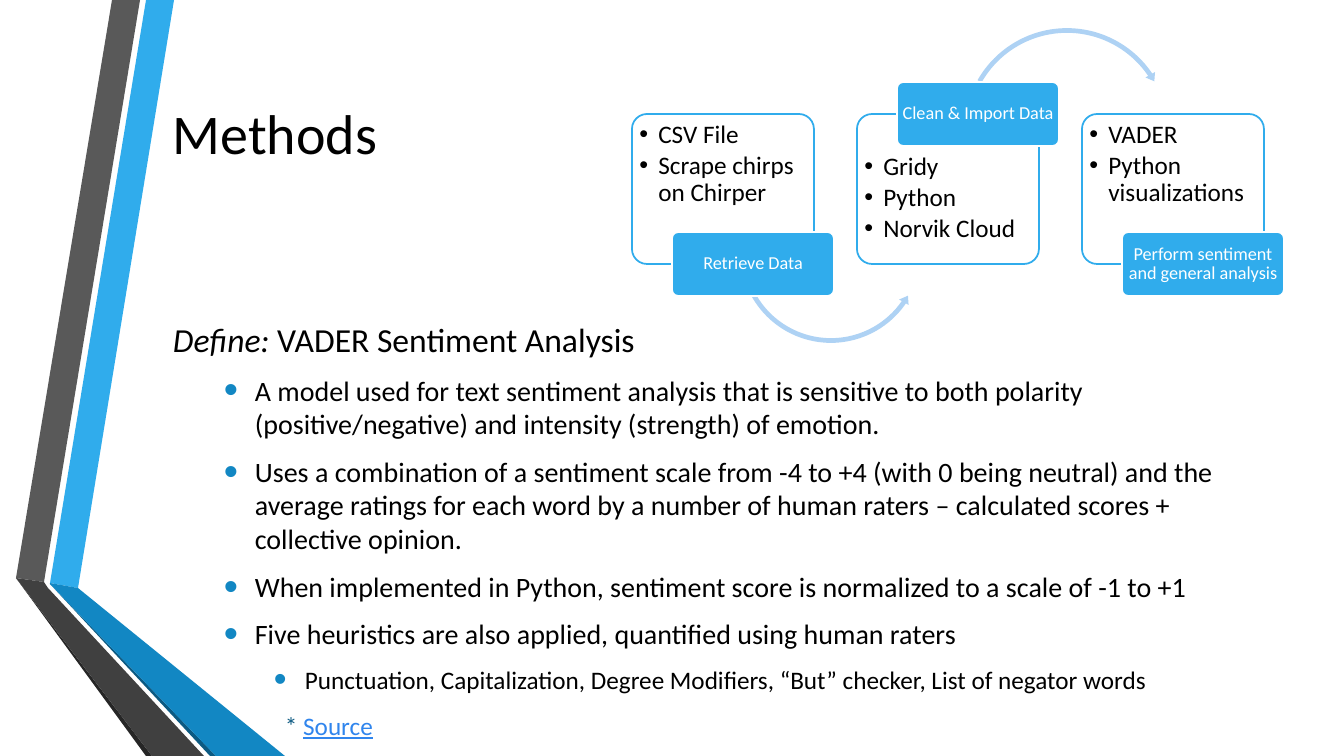
import dataclasses
import typing

import lxml.etree
import pptx
import pptx.dml.color
import pptx.enum.shapes
import pptx.enum.text
import pptx.oxml.ns
import pptx.util

SCALE = 914400 / 100.8
FONT = "Calibri"
COLORS = {
    "white": "FFFFFF", "black": "000000", "sky": "30ACEC", "blue": "1287C3",
    "navy": "0C5A82", "pale": "AED2F4", "link": "3085ED",
    "gray": "595959", "dark": "404040", "coal": "262626",
}
KINDS = pptx.enum.shapes.MSO_SHAPE
ANCHOR = pptx.enum.text.MSO_ANCHOR
ALIGN = pptx.enum.text.PP_ALIGN


class Box(typing.NamedTuple):
    left: int
    top: int
    width: int
    height: int


@dataclasses.dataclass(frozen=True)
class Band:
    color: str
    points: tuple[tuple[int, int], ...]


@dataclasses.dataclass(frozen=True)
class Span:
    text: str
    color: str = "black"
    slant: bool = False
    under: bool = False


@dataclasses.dataclass(frozen=True)
class Style:
    size: float
    level: int = 0
    indent: int = 0
    hang: int = 0
    before: float = 0
    after: float = 0
    line: float = 1.0
    align: ALIGN = ALIGN.LEFT
    dot: str = ""
    dot_size: int = 100


@dataclasses.dataclass(frozen=True)
class Para:
    style: Style
    spans: tuple[Span, ...]


@dataclasses.dataclass(frozen=True)
class Arrow:
    kind: KINDS
    box: Box
    turns: tuple[float, ...]


@dataclasses.dataclass(frozen=True)
class Step:
    label: str
    items: tuple[str, ...]
    on_top: bool = False
    arrow: Arrow | None = None


TITLE = Style(40)
HEAD = Style(24, before=4.8, after=6)
POINT = Style(20, 1, 82, 31, 4, 6, dot="blue", dot_size=145)
DETAIL = Style(18, 2, 132, 31, 3.6, 6, dot="blue", dot_size=145)
ITEM = Style(18, 1, 19, 19, after=2.7, line=0.9, dot="black")
LABEL = Style(13, line=0.9, align=ALIGN.CENTER)
NOTE = Style(18)

BANDS = (
    Band("sky", ((50, 583), (78, 588), (174, 0), (146, 0))),
    Band("gray", ((140, 0), (112, 0), (16, 578), (44, 582))),
    Band("coal", ((16, 578), (146, 756), (152, 756))),
    Band("navy", ((50, 584), (210, 756), (216, 756))),
    Band("blue", ((50, 584), (216, 756), (285, 756), (78, 588), (50, 583))),
    Band("dark", ((204, 756), (48, 588), (44, 582), (16, 578), (152, 756))),
)
STEPS = (
    Step("Retrieve Data", ("CSV File", "Scrape chirps on Chirper"),
         arrow=Arrow(KINDS.LEFT_CIRCULAR_ARROW, Box(737, 158, 188, 188),
                     (0.025, 2.993, 20.748, 90.245, 0.029))),
    Step("Clean & Import Data", ("Gridy", "Python", "Norvik Cloud"), True,
         Arrow(KINDS.CIRCULAR_ARROW, Box(961, 25, 212, 212),
               (0.022, 2.647, 195.598, 125.755, 0.026))),
    Step("Perform sentiment and general analysis",
         ("VADER", "Python visualizations")),
)
POINTS = (
    "A model used for text sentiment analysis that is\u00a0sensitive to both "
    "polarity (positive/negative) and intensity (strength) of emotion.",
    "Uses a combination of a sentiment scale from -4 to +4 (with 0 being "
    "neutral) and the average ratings for each word by a number of human "
    "raters – calculated scores + collective opinion.",
    "When implemented in Python, sentiment score is normalized to a scale "
    "of -1 to +1",
    "Five heuristics are also applied, quantified using human raters",
)
DETAILS = ("Punctuation, Capitalization, Degree Modifiers, “But” checker, "
           "List of negator words")


def emu(length: float) -> pptx.util.Emu:
    """Turn pixels into EMU."""
    return pptx.util.Emu(round(length * SCALE))


def rgb(name: str) -> pptx.dml.color.RGBColor:
    """Look up a colour."""
    return pptx.dml.color.RGBColor.from_string(COLORS[name])


def plain(text: str, style: Style, color: str = "black") -> Para:
    """Make a paragraph of one span."""
    return Para(style, (Span(text, color),))


def add_dot(para, style: Style) -> None:
    """Give a paragraph its hanging bullet."""
    props = para._p.get_or_add_pPr()
    props.set("marL", str(emu(style.indent)))
    props.set("indent", str(-emu(style.hang)))

    def add(parent, tag: str, **values: str):
        return lxml.etree.SubElement(parent, pptx.oxml.ns.qn(tag), values)

    add(add(props, "a:buClr"), "a:srgbClr", val=COLORS[style.dot])
    add(props, "a:buSzPct", val=str(style.dot_size * 1000))
    add(props, "a:buFont", typeface="Arial")
    add(props, "a:buChar", char="•")


def write(frame, paras: typing.Iterable[Para]) -> None:
    """Fill a text frame with styled paragraphs."""
    frame.word_wrap = True
    for index, item in enumerate(paras):
        para = frame.add_paragraph() if index else frame.paragraphs[0]
        style = item.style
        para.level, para.alignment = style.level, style.align
        para.line_spacing = style.line
        para.space_before = pptx.util.Pt(style.before)
        para.space_after = pptx.util.Pt(style.after)
        if style.dot:
            add_dot(para, style)
        for span in item.spans:
            run = para.add_run()
            run.text = span.text
            font = run.font
            font.name, font.size = FONT, pptx.util.Pt(style.size)
            font.italic, font.underline = span.slant, span.under
            font.color.rgb = rgb(span.color)


def add_text(slide, box: Box, paras: typing.Iterable[Para],
             anchor: ANCHOR = ANCHOR.MIDDLE) -> None:
    """Add a text box."""
    frame = slide.shapes.add_textbox(*map(emu, box)).text_frame
    frame.vertical_anchor = anchor
    write(frame, paras)


def paint(shape, fill: str, line: str = "") -> None:
    """Set fill and outline, without a shadow."""
    shape.shadow.inherit = False
    shape.fill.solid()
    shape.fill.fore_color.rgb = rgb(fill)
    if line:
        shape.line.color.rgb = rgb(line)
        shape.line.width = pptx.util.Pt(1.25)
    else:
        shape.line.fill.background()


def add_panel(slide, box: Box, fill: str, line: str, pads: Box,
              anchor: ANCHOR, paras: typing.Iterable[Para]) -> None:
    """Add a rounded panel with text; pads run left, top, right, bottom."""
    shape = slide.shapes.add_shape(KINDS.ROUNDED_RECTANGLE, *map(emu, box))
    shape.adjustments[0] = 0.1
    paint(shape, fill, line)
    frame = shape.text_frame
    frame.margin_left, frame.margin_top = emu(pads[0]), emu(pads[1])
    frame.margin_right, frame.margin_bottom = emu(pads[2]), emu(pads[3])
    frame.vertical_anchor = anchor
    write(frame, paras)


def add_band(slide, band: Band) -> None:
    """Draw one piece of the folded ribbon."""
    first, *rest = band.points
    builder = slide.shapes.build_freeform(*first, scale=SCALE)
    builder.add_line_segments(rest, close=True)
    paint(builder.convert_to_shape(), band.color)


def add_step(slide, index: int, step: Step) -> None:
    """Draw a card, its arrow and its label."""
    left = 632 + 225 * index
    pads = (3, 35, 3, 3) if step.on_top else (3, 3, 3, 35)
    add_panel(slide, Box(left, 114, 182, 150), "white", "sky", pads,
              ANCHOR.TOP, [plain(text, ITEM) for text in step.items])
    if step.arrow:
        shape = slide.shapes.add_shape(step.arrow.kind,
                                       *map(emu, step.arrow.box))
        for spot, turn in enumerate(step.arrow.turns):
            shape.adjustments[spot] = turn
        paint(shape, "pale")
    add_panel(slide, Box(left + 40, 82 if step.on_top else 232, 162, 64),
              "sky", "white", (3, 2, 3, 2), ANCHOR.MIDDLE,
              [plain(step.label, LABEL, "white")])


def main() -> None:
    """Build and save the slide."""
    deck = pptx.Presentation()
    deck.slide_width, deck.slide_height = emu(1344), emu(756)
    slide = deck.slides.add_slide(deck.slide_layouts[6])
    for band in BANDS:
        add_band(slide, band)
    add_text(slide, Box(163, 76, 1105, 113), [plain("Methods", TITLE)])
    for index, step in enumerate(STEPS):
        add_step(slide, index, step)
    head = Para(HEAD, (Span("Define: ", slant=True),
                       Span("VADER Sentiment Analysis")))
    add_text(slide, Box(163, 317, 1105, 379),
             [head, *(plain(text, POINT) for text in POINTS),
              plain(DETAILS, DETAIL)])
    note = Para(NOTE, (Span("* ", "navy"), Span("Source", "link", under=True)))
    add_text(slide, Box(275, 705, 882, 40), [note], ANCHOR.TOP)
    deck.save("out.pptx")


main()
